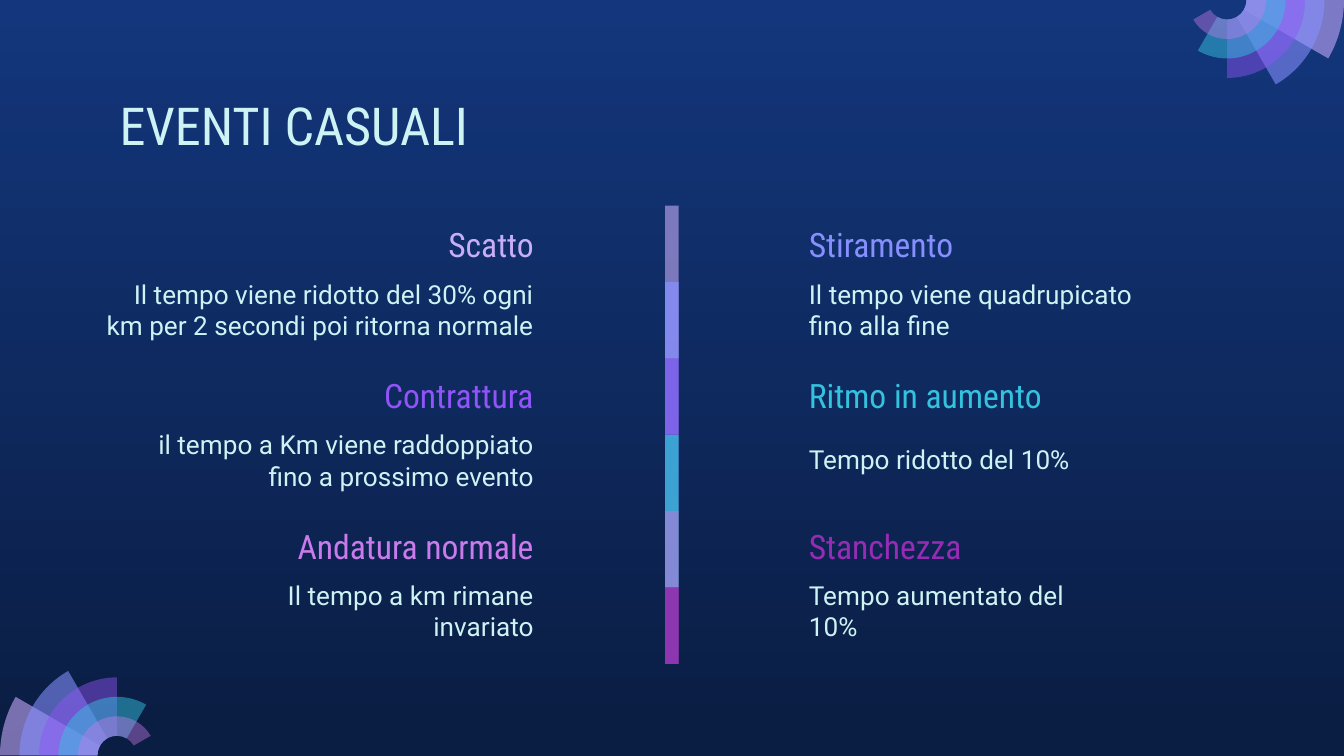
import math

from lxml import etree
from pptx import Presentation
from pptx.dml.color import RGBColor
from pptx.enum import shapes, text
from pptx.oxml import ns
from pptx.util import Inches, Pt

NAVY_TOP = RGBColor(0x13, 0x36, 0x7C)
NAVY_BOTTOM = RGBColor(0x0A, 0x1D, 0x42)
ICE = RGBColor(0xCE, 0xF3, 0xF5)
LILAC = RGBColor(0xC8, 0xAE, 0xF8)
PALE_LILAC = RGBColor(0xC8, 0xAC, 0xFD)
PERIWINKLE = RGBColor(0x87, 0x8F, 0xFF)
VIOLET = RGBColor(0x91, 0x54, 0xF8)
CYAN = RGBColor(0x35, 0xC2, 0xDF)
ORCHID = RGBColor(0xCA, 0x7B, 0xEB)
PURPLE = RGBColor(0x97, 0x2C, 0xB4)

HEADING_FONT = "Roboto Condensed"
BODY_FONT = "Roboto"
RIGHT, LEFT = text.PP_ALIGN.RIGHT, text.PP_ALIGN.LEFT
TOP, BOTTOM = text.MSO_ANCHOR.TOP, text.MSO_ANCHOR.BOTTOM

FAN_RINGS = [(PALE_LILAC, 58), (PERIWINKLE, 58), (VIOLET, 46), (CYAN, 49), (ORCHID, 42)]
BAR_SEGMENTS = [(LILAC, 59), (PERIWINKLE, 74), (VIOLET, 53),
                (CYAN, 76), (ORCHID, 56), (PURPLE, 74)]

ROW_PITCH = 1.12
HEADING_SIZE = (2.53, 0.43)

LEFT_EVENTS = [
    ("Scatto", LILAC, "Il tempo viene ridotto del 30% ogni km per 2 secondi poi ritorna normale",
     3.4, 0.33, 0.69),
    ("Contrattura", VIOLET, "il tempo a Km viene raddoppiato fino a prossimo evento",
     3.29, 0.33, 0.69),
    ("Andatura normale", ORCHID, "Il tempo a km rimane invariato", 2.53, 0.33, 0.69),
]
RIGHT_EVENTS = [
    ("Stiramento", PERIWINKLE, "Il tempo viene quadrupicato fino alla fine", 2.9, 0.33, 0.69),
    ("Ritmo in aumento", CYAN, "Tempo ridotto del 10%", 2.53, 0.44, 0.52),
    ("Stanchezza", PURPLE, "Tempo aumentato del 10%", 2.45, 0.33, 0.69),
]


def paint(shape, color, opacity):
    shape.shadow.inherit = False
    shape.line.fill.background()
    shape.fill.solid()
    shape.fill.fore_color.rgb = color
    tint = shape._element.spPr.find(ns.qn("a:solidFill")).find(ns.qn("a:srgbClr"))
    etree.SubElement(tint, ns.qn("a:alpha")).set("val", str(opacity * 1000))


def write(box, wording, size, font, color, align=LEFT, anchor=TOP):
    frame = box.text_frame
    frame.text = wording
    frame.word_wrap = True
    frame.auto_size = text.MSO_AUTO_SIZE.NONE
    frame.vertical_anchor = anchor
    frame.margin_left = frame.margin_right = Inches(0.1)
    frame.margin_top = frame.margin_bottom = Inches(0.1)
    for para in frame.paragraphs:
        para.alignment = align
        for span in para.runs:
            span.font.size = Pt(size)
            span.font.name = font
            span.font.color.rgb = color


def add_background(slide):
    fill = slide.background.fill
    fill.gradient()
    fill.gradient_angle = 270
    for stop, color, position in zip(fill.gradient_stops, (NAVY_TOP, NAVY_BOTTOM), (0, 1)):
        stop.color.rgb = color
        stop.position = position


def add_sector(group, center_x, center_y, outer, inner, start, sweep):
    marks = [start, start + sweep]
    if sweep > 90:
        marks.insert(1, start + 90)
    rim = [(outer, mark) for mark in marks] + [(inner, mark) for mark in reversed(marks)]

    def point(distance, degrees, lean=0):
        angle = math.radians(degrees)
        cos, sin = math.cos(angle), math.sin(angle)
        return (Inches(center_x + distance * (cos - lean * sin)),
                Inches(center_y + distance * (sin + lean * cos)))

    corners = [point(*spot) for spot in rim]
    builder = group.shapes.build_freeform(*corners[0])
    builder.add_line_segments(corners[1:], close=True)
    sector = builder.convert_to_shape()
    sides = list(sector._element.spPr.iter(ns.qn("a:lnTo")))
    for side, (radius, begin), (end_radius, end) in zip(sides, rim, rim[1:]):
        if radius != end_radius:
            continue
        lean = 4 / 3 * math.tan(math.radians(end - begin) / 4)
        side.tag = ns.qn("a:cubicBezTo")
        handles = [point(radius, begin, lean), point(radius, end, -lean)]
        for index, (x, y) in enumerate(handles):
            handle = etree.Element(ns.qn("a:pt"))
            handle.set("x", str(x - sector.left))
            handle.set("y", str(y - sector.top))
            side.insert(index, handle)
    return sector


def add_fan(slide, center_x, center_y, radius, start):
    group = slide.shapes.add_group_shape()
    step = radius / 6
    for index, (color, opacity) in enumerate(FAN_RINGS):
        sector = add_sector(group, center_x, center_y, radius - step * index, step,
                            start, 30 * (index + 1))
        paint(sector, color, opacity)


def add_title(slide, left, top, width, height):
    title = slide.shapes.title
    title.left, title.top = Inches(left), Inches(top)
    title.width, title.height = Inches(width), Inches(height)
    write(title, "EVENTI CASUALI", 28, HEADING_FONT, ICE)


def add_text(slide, edge, top, width, height, align, *style, anchor=TOP):
    left = edge - width if align == RIGHT else edge
    box = slide.shapes.add_textbox(Inches(left), Inches(top), Inches(width), Inches(height))
    write(box, *style, align, anchor)


def add_event_column(slide, edge, top, align, events):
    for row, (name, color, detail, width, offset, height) in enumerate(events):
        row_top = top + row * ROW_PITCH
        add_text(slide, edge, row_top, *HEADING_SIZE, align,
                 name, 18, HEADING_FONT, color, anchor=BOTTOM)
        add_text(slide, edge, row_top + offset, width, height, align,
                 detail, 14, BODY_FONT, ICE)


def add_color_bar(slide, left, top, width, height):
    group = slide.shapes.add_group_shape()
    pitch = height / len(BAR_SEGMENTS)
    for index, (color, opacity) in enumerate(BAR_SEGMENTS):
        segment_top = top + index * pitch
        segment_height = min(2 * pitch, top + height - segment_top)
        segment = group.shapes.add_shape(
            shapes.MSO_SHAPE.RECTANGLE, Inches(left), Inches(segment_top),
            Inches(width), Inches(segment_height))
        paint(segment, color, opacity)


def main():
    deck = Presentation()
    deck.slide_width, deck.slide_height = Inches(10), Inches(5.625)
    slide = deck.slides.add_slide(deck.slide_layouts.get_by_name("Title Only"))
    add_background(slide)
    add_fan(slide, 0.87, 5.62, 0.87, 180)
    add_fan(slide, 9.13, 0, 0.87, 0)
    add_title(slide, 0.79, 0.59, 8.43, 0.63)
    add_event_column(slide, 4.07, 1.64, RIGHT, LEFT_EVENTS)
    add_event_column(slide, 5.92, 1.64, LEFT, RIGHT_EVENTS)
    add_color_bar(slide, 4.95, 1.53, 0.1, 3.41)
    deck.save("out.pptx")


if __name__ == "__main__":
    main()
